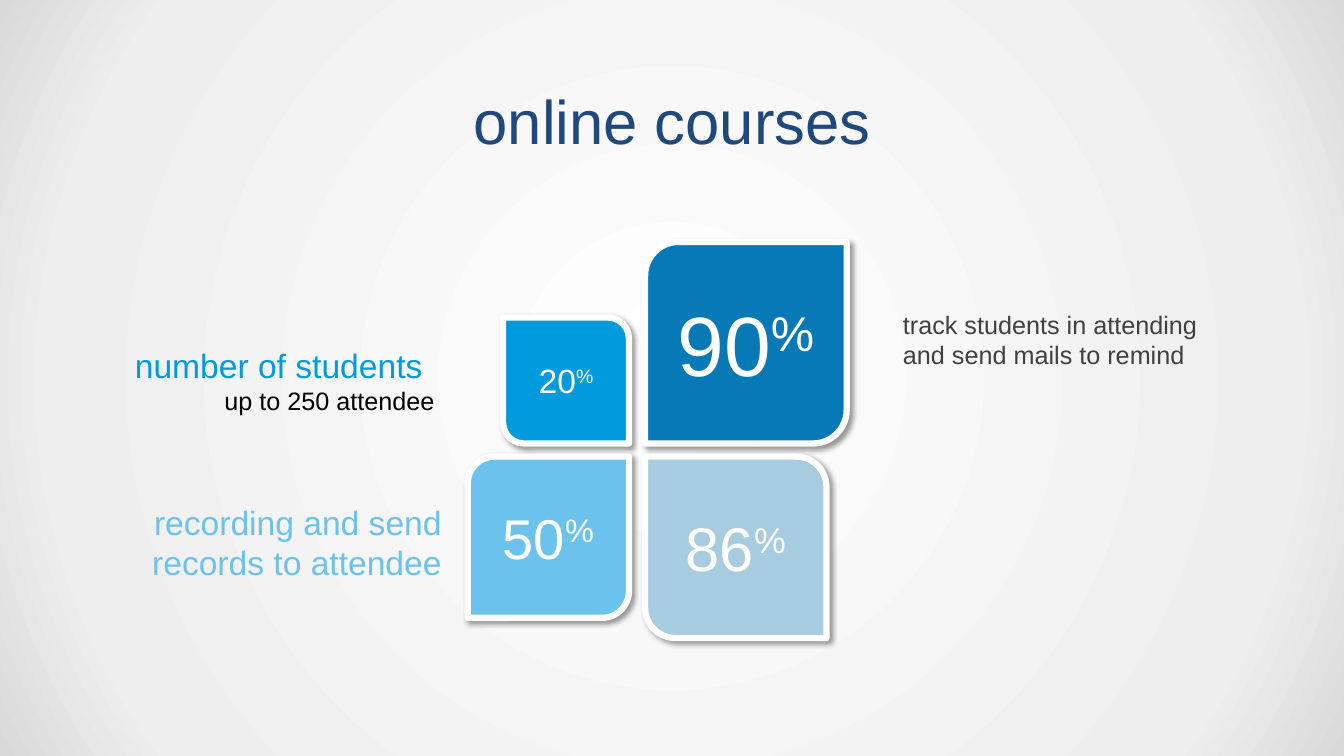
from dataclasses import dataclass

from pptx import Presentation
from pptx.dml.color import RGBColor
from pptx.enum.shapes import MSO_SHAPE
from pptx.enum.text import MSO_ANCHOR, MSO_AUTO_SIZE, PP_ALIGN
from pptx.oxml import parse_xml
from pptx.oxml.ns import nsdecls
from pptx.util import Emu, Inches, Pt

LEAF = MSO_SHAPE.ROUND_2_DIAG_RECTANGLE
MIDDLE = MSO_ANCHOR.MIDDLE
GROW = MSO_AUTO_SIZE.SHAPE_TO_FIT_TEXT
LEFT, CENTER, RIGHT = PP_ALIGN.LEFT, PP_ALIGN.CENTER, PP_ALIGN.RIGHT

FONT = "Arial"
WHITE, BLACK = "FFFFFF", "000000"
NAVY, BLUE, SKY, PALE, MIST, GREY = (
    "1F497D", "0779B7", "019ADD", "6BC2ED", "A7CCDF", "404040")

# The grid has square cells, 133.33 columns by 75 rows
CELL = Inches(0.1)
COLS, ROWS = 133.33, 75
# Edges of the gaps between the four leaves
GAP_LEFT, GAP_RIGHT = 62.4, 64
GAP_TOP, GAP_BOTTOM = 44, 45.3
ROUNDING = 0.1667

BACKGROUND_STOPS = ((0, "FFFFFF"), (81, "EEEEEE"), (100, "D9D9D9"))


@dataclass
class Leaf:
    number: str
    size: float
    font_size: int
    fill: str
    right: bool
    lower: bool


@dataclass
class Line:
    text: str
    size: int
    color: str
    indent: float = 0


@dataclass
class Caption:
    col: float
    row: float
    cols: float
    rows: float
    align: PP_ALIGN
    lines: tuple[Line, ...]


LEAVES = (
    Leaf("90", 20, 60, BLUE, right=True, lower=False),
    Leaf("50", 16, 40, PALE, right=False, lower=True),
    Leaf("20", 12.5, 24, SKY, right=False, lower=False),
    Leaf("86", 18, 44, MIST, right=True, lower=True),
)

CAPTIONS = (
    Caption(10.1, 33.7, 34.7, 8.1, RIGHT, (
        Line("number of students", 24, SKY, indent=1.9),
        Line("up to 250 attendee", 18, BLACK, indent=0.7))),
    Caption(10.1, 49.3, 34.7, 9.1, RIGHT, (
        Line("recording and send records to attendee", 24, PALE),)),
    Caption(88.6, 30.2, 34.7, 7.1, LEFT, (
        Line("track students in attending and send mails to remind", 18, GREY),)),
    Caption(43.4, 7.7, 46.6, 8.4, CENTER, (
        Line("online courses", 44, NAVY),)),
)


def cells(count: float) -> Emu:
    return Emu(round(count * CELL))


def rgb(color: str) -> RGBColor:
    return RGBColor.from_string(color)


def set_font(p, size: int, color: str) -> None:
    p.font.name = FONT
    p.font.size = Pt(size)
    p.font.color.rgb = rgb(color)


def set_background(s) -> None:
    """Fill the slide with a gradient that spreads from its centre."""
    stops = "".join(
        f'<a:gs pos="{pos * 1000}"><a:srgbClr val="{color}"/></a:gs>'
        for pos, color in BACKGROUND_STOPS)
    s._element.cSld.insert(0, parse_xml(
        f'<p:bg {nsdecls("p", "a")}><p:bgPr><a:gradFill rotWithShape="1">'
        f'<a:gsLst>{stops}</a:gsLst><a:path path="circle">'
        '<a:fillToRect l="50000" t="50000" r="50000" b="50000"/></a:path>'
        '</a:gradFill><a:effectLst/></p:bgPr></p:bg>'))


def add_shadow(sp) -> None:
    sp.shadow.inherit = False
    sp._element.spPr.find("{*}effectLst").append(parse_xml(
        f'<a:outerShdw {nsdecls("a")} blurRad="{Pt(4)}" dist="{Pt(3)}" '
        f'dir="{45 * 60000}" algn="tl" rotWithShape="0"><a:srgbClr val="{BLACK}">'
        '<a:alpha val="40000"/></a:srgbClr></a:outerShdw>'))


def add_leaf(s, leaf: Leaf) -> None:
    """Draw a leaf whose inner corner touches the central gaps."""
    col = GAP_RIGHT if leaf.right else GAP_LEFT - leaf.size
    row = GAP_BOTTOM if leaf.lower else GAP_TOP - leaf.size
    side = cells(leaf.size)
    sp = s.shapes.add_shape(LEAF, cells(col), cells(row), side, side)
    mirrored = leaf.right == leaf.lower
    sp.adjustments[0] = 0 if mirrored else ROUNDING
    sp.adjustments[1] = ROUNDING if mirrored else 0
    sp.fill.solid()
    sp.fill.fore_color.rgb = rgb(leaf.fill)
    sp.line.color.rgb = rgb(WHITE)
    sp.line.width = Pt(4.5)
    add_shadow(sp)

    tf = sp.text_frame
    tf.vertical_anchor = MIDDLE
    p = tf.paragraphs[0]
    p.alignment = CENTER
    set_font(p, leaf.font_size, WHITE)
    p.add_run().text = leaf.number
    r = p.add_run()
    r.text = "%"
    r.font._element.set("baseline", "30000")


def add_caption(s, caption: Caption) -> None:
    sp = s.shapes.add_textbox(cells(caption.col), cells(caption.row),
                              cells(caption.cols), cells(caption.rows))
    tf = sp.text_frame
    tf.word_wrap = True
    tf.auto_size = GROW
    for i, line in enumerate(caption.lines):
        p = tf.add_paragraph() if i else tf.paragraphs[0]
        p.text = line.text
        p.alignment = caption.align
        set_font(p, line.size, line.color)
        if line.indent:
            p._p.get_or_add_pPr().set("marR", str(cells(line.indent)))


def main() -> None:
    prs = Presentation()
    prs.slide_width, prs.slide_height = cells(COLS), cells(ROWS)
    s = prs.slides.add_slide(prs.slide_layouts[6])
    set_background(s)
    for leaf in LEAVES:
        add_leaf(s, leaf)
    for caption in CAPTIONS:
        add_caption(s, caption)
    prs.save("out.pptx")


if __name__ == "__main__":
    main()
